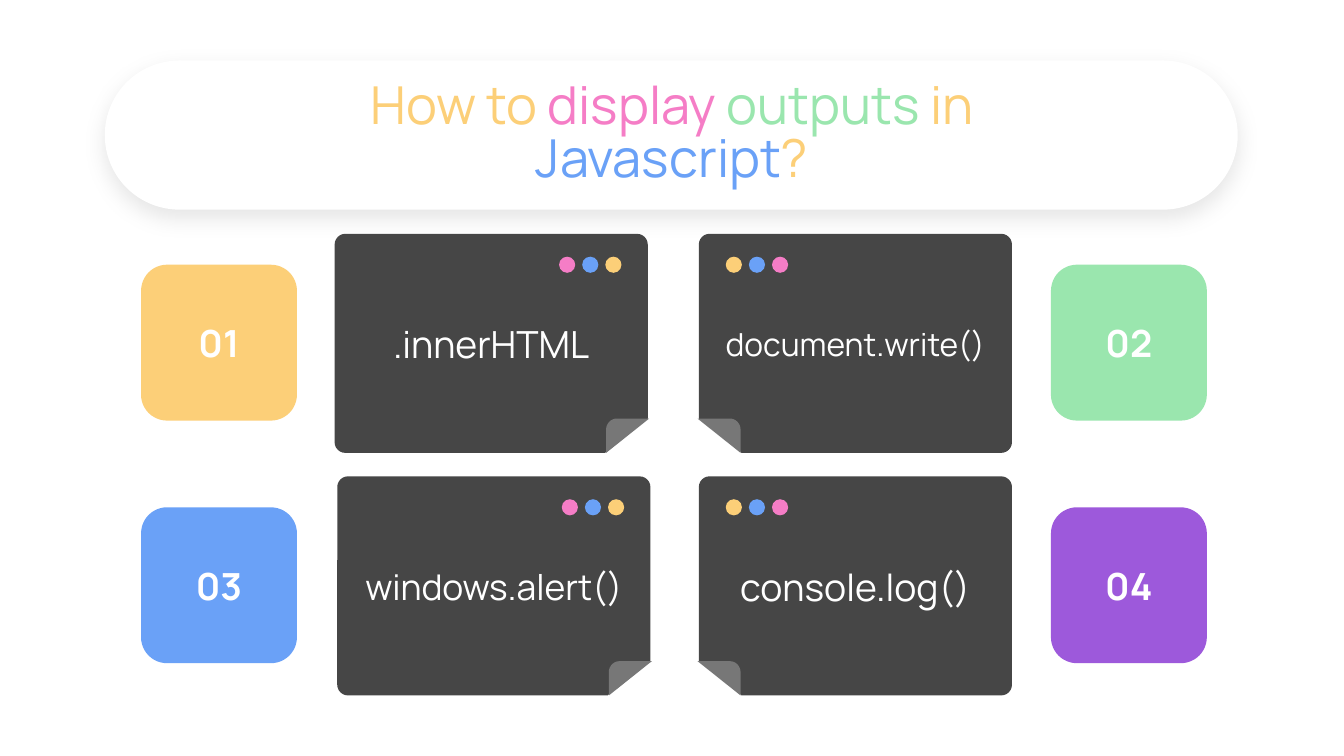
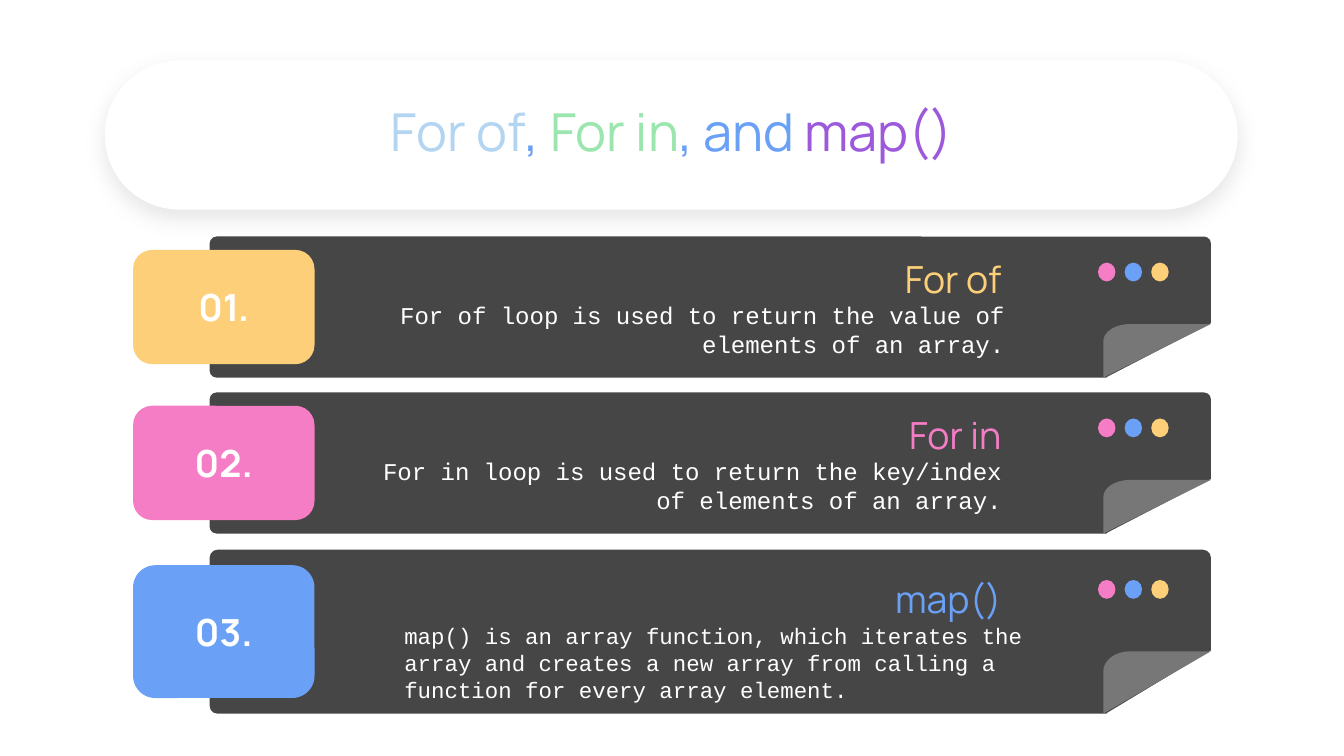
from math import cos, pi, sin

from pptx import Presentation
from pptx.dml.color import RGBColor
from pptx.enum.shapes import MSO_SHAPE
from pptx.enum.text import MSO_ANCHOR, PP_ALIGN
from pptx.oxml import parse_xml
from pptx.oxml.ns import nsdecls, qn
from pptx.util import Inches, Pt

COLUMNS = 100
WIDTH = Inches(10)
HEIGHT = WIDTH * 9 // 16
CELL = WIDTH // COLUMNS

WHITE, DARK, GREY = "FFFFFF", "464646", "777777"
YELLOW, PINK, BLUE = "FCCF78", "F57DC6", "6AA1F7"
GREEN, PURPLE, SKY = "9AE6AE", "9D59DB", "B3D5F2"
DOT_COLORS = (PINK, BLUE, YELLOW)
SANS, MONO = "Manrope", "Courier New"

CARD_WIDTH, CARD_HEIGHT = 23.3, 16.3
BAND_LEFT, BAND_WIDTH = 15.6, 74.5


def color(value):
    return RGBColor.from_string(value)


def cells(*counts):
    return [round(count * CELL) for count in counts]


def paint(shape, fill, line=None):
    shape.shadow.inherit = False
    shape.fill.solid()
    shape.fill.fore_color.rgb = color(fill)
    if line:
        shape.line.color.rgb = color(line)
        shape.line.width = Pt(0.75)
    else:
        shape.line.fill.background()
    return shape


def add_block(shapes, kind, area, fill, corner=None, line=None):
    block = paint(shapes.add_shape(kind, *cells(*area)), fill, line)
    if corner is not None:
        block.adjustments[0] = corner
    return block


def write(box, text, size=20, ink=WHITE, font=SANS, bold=False,
          align=PP_ALIGN.CENTER, anchor=MSO_ANCHOR.MIDDLE, spacing=None):
    frame = box.text_frame
    frame.word_wrap = True
    frame.vertical_anchor = anchor
    frame.margin_left = frame.margin_right = CELL
    frame.margin_top = frame.margin_bottom = CELL
    para = frame.paragraphs[0]
    para.alignment = align
    if spacing:
        para.line_spacing = spacing
    for words, shade in [(text, ink)] if isinstance(text, str) else text:
        span = para.add_run()
        span.text = words
        span.font.size = Pt(size)
        span.font.name = font
        span.font.bold = bold
        span.font.color.rgb = color(shade)


def add_label(shapes, area, text, **style):
    write(shapes.add_textbox(*cells(*area)), text, **style)


def add_badge(shapes, area, text, fill):
    badge = add_block(shapes, MSO_SHAPE.ROUNDED_RECTANGLE, area, fill, 0.167)
    write(badge, text, bold=True)


def add_dots(shapes, left, top, width, height, step, colors):
    for index, fill in enumerate(colors):
        area = (left + index * step, top, width, height)
        add_block(shapes, MSO_SHAPE.OVAL, area, fill)


def add_fold(shapes, left, top, width, height, mirrored=False, inset=0):
    triangle = add_block(shapes, MSO_SHAPE.RIGHT_TRIANGLE,
                         (left + inset, top, width - inset, height), WHITE, line=WHITE)
    if not mirrored:
        triangle.element.spPr.get_or_add_xfrm().set("flipH", "1")
    angles = [pi / 2 * step / 8 for step in range(9)]
    outline = [(0.25 * (1 - sin(angle)), 0.32 * (1 - cos(angle))) for angle in angles]
    outline += [(0, 1), (1, 0)]
    points = [cells(left + width * (1 - x if mirrored else x), top + height * y)
              for x, y in outline]
    builder = shapes.build_freeform(*points[0])
    builder.add_line_segments(points[1:], close=True)
    paint(builder.convert_to_shape(), GREY)


def add_page(deck, title):
    page = deck.slides.add_slide(deck.slide_layouts[6])
    pill = add_block(page.shapes, MSO_SHAPE.ROUNDED_RECTANGLE,
                     (7.8, 4.5, 84.3, 11.1), WHITE, 0.5)
    pill.element.spPr.find(qn("a:effectLst")).append(parse_xml(
        f'<a:outerShdw {nsdecls("a")} blurRad="{Pt(11.2)}" dist="{Pt(4.5)}" '
        'dir="5400000" algn="bl" rotWithShape="0"><a:srgbClr val="000000">'
        '<a:alpha val="10000"/></a:srgbClr></a:outerShdw>'))
    add_label(page.shapes, (16.4, 4.5, 67.2, 11.1), title, size=28, spacing=0.85)
    return page


def add_card(page, left, top, text, size, mirrored):
    shapes = page.shapes.add_group_shape().shapes
    add_block(shapes, MSO_SHAPE.ROUNDED_RECTANGLE,
              (left, top, CARD_WIDTH, CARD_HEIGHT), DARK, 0.049)
    add_dots(shapes, left + (2 if mirrored else 16.7), top + 1.7, 1.2, 1.2, 1.72,
             DOT_COLORS[::-1] if mirrored else DOT_COLORS)
    add_label(shapes, (left, top + 6.2, CARD_WIDTH, 4), text, size=size)
    add_fold(shapes, left + (-0.1 if mirrored else 20.2), top + 13.75, 3.2, 2.55, mirrored)


def add_band(page, top, height, number, heading, body, fill, body_left, **style):
    shapes = page.shapes.add_group_shape().shapes
    add_block(shapes, MSO_SHAPE.ROUNDED_RECTANGLE,
              (BAND_LEFT, top, BAND_WIDTH, height), DARK, 0.049)
    add_dots(shapes, BAND_LEFT + 66.1, top + 0.185 * height, 1.3, 1.4, 1.98, DOT_COLORS)
    add_label(shapes, (27.3, top + 0.08 * height, 48.2, 0.44 * height), heading,
              ink=fill, align=PP_ALIGN.RIGHT)
    add_label(shapes, (body_left, top + 0.36 * height, 48.2, 0.44 * height), body,
              font=MONO, anchor=MSO_ANCHOR.TOP, **style)
    add_fold(shapes, BAND_LEFT + 66.5, top + 0.62 * height, 8, 0.38 * height, inset=0.3)
    add_badge(shapes, (9.9, top + 0.095 * height, 13.5, 0.81 * height), number, fill)


def add_outputs_page(deck):
    page = add_page(deck, [("How to ", YELLOW), ("display ", PINK), ("outputs ", GREEN),
                           ("in ", YELLOW), ("Javascript", BLUE), ("?", YELLOW)])
    cards = [(".innerHTML", 20, 24.9, YELLOW), ("document.write()", 17, 52, GREEN),
             ("windows.alert()", 19, 25.1, BLUE), ("console.log()", 20, 52, PURPLE)]
    for index, (text, size, left, fill) in enumerate(cards):
        row, column = divmod(index, 2)
        top = 17.4 + 18.05 * row
        add_card(page, left, top, text, size, mirrored=column == 1)
        add_badge(page.shapes, (10.5 + 67.7 * column, top + 2.3, 11.6, 11.6),
                  f"{index + 1:02}", fill)


def add_loops_page(deck):
    page = add_page(deck, [("For of", SKY), (", ", BLUE), ("For in", GREEN),
                           (", and ", BLUE), ("map()", PURPLE)])
    add_band(page, 17.6, 10.5, "01.", "For of",
             "For of loop is used to return the value of elements of an array.",
             YELLOW, 27.5, size=12.9, align=PP_ALIGN.RIGHT)
    add_band(page, 29.2, 10.5, "02.", "For in",
             "For in loop is used to return the key/index of elements of an array.",
             PINK, 27.3, size=12.9, align=PP_ALIGN.RIGHT)
    add_band(page, 40.9, 12.2, "03.", "map()",
             "map() is an array function, which iterates the array and creates a new "
             "array from calling a function for every array element.",
             BLUE, 29.1, size=12, align=PP_ALIGN.LEFT)


def main():
    deck = Presentation()
    deck.slide_width, deck.slide_height = WIDTH, HEIGHT
    add_outputs_page(deck)
    add_loops_page(deck)
    deck.save("out.pptx")


if __name__ == "__main__":
    main()
